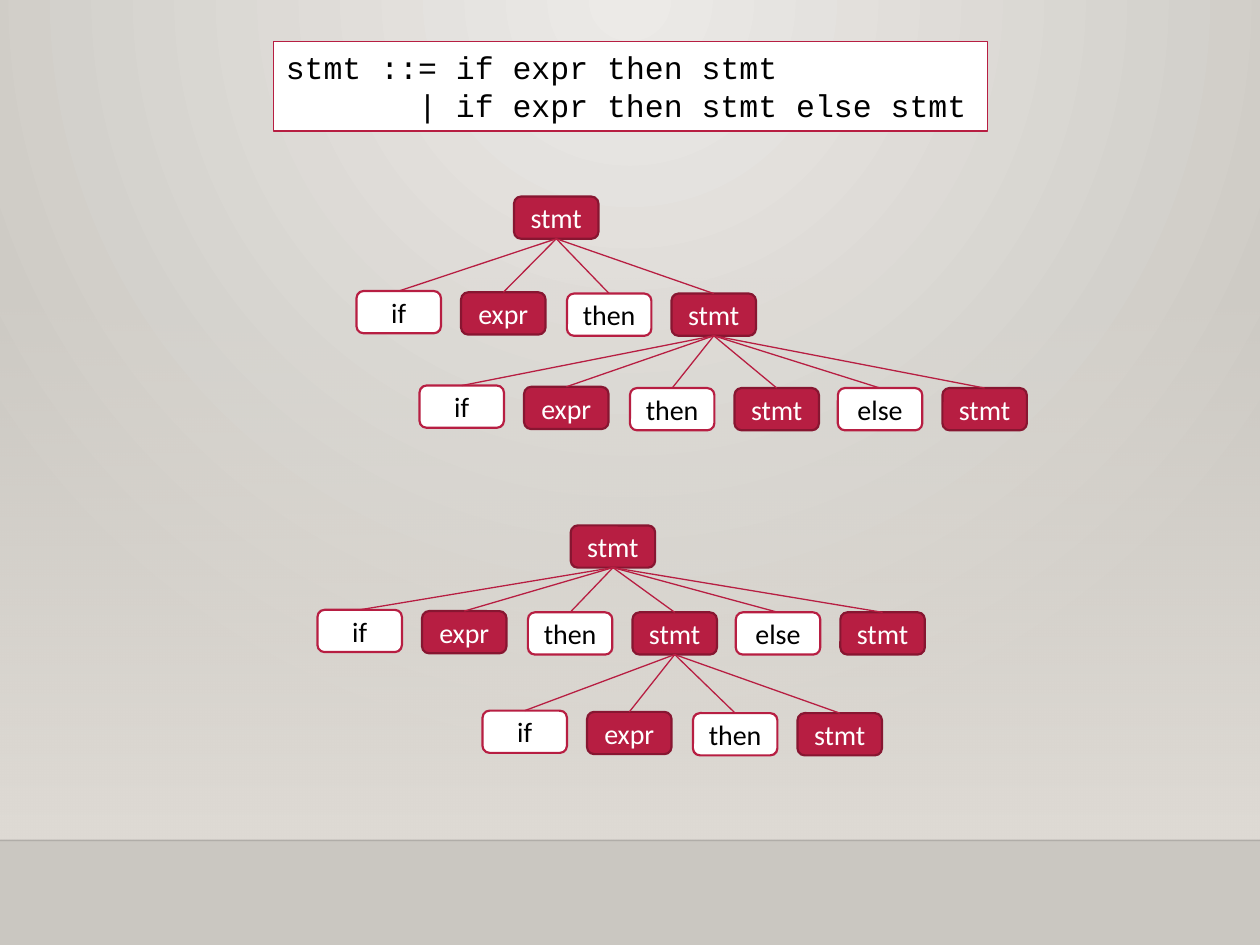
"""Builds a slide showing two parse trees of the dangling-else grammar."""
from lxml import etree
from pptx import Presentation
from pptx.dml.color import RGBColor
from pptx.enum.shapes import MSO_CONNECTOR, MSO_SHAPE
from pptx.enum.text import MSO_ANCHOR, PP_ALIGN
from pptx.oxml import parse_xml
from pptx.oxml.ns import qn
from pptx.util import Inches, Pt

STRAIGHT = MSO_CONNECTOR.STRAIGHT
RECTANGLE, ROUNDED = MSO_SHAPE.RECTANGLE, MSO_SHAPE.ROUNDED_RECTANGLE
CENTER, MIDDLE = PP_ALIGN.CENTER, MSO_ANCHOR.MIDDLE
BOTTOM_SITE, TOP_SITE = 2, 0

CRIMSON = RGBColor(0xB7, 0x1E, 0x42)
DARK_CRIMSON = RGBColor(0x87, 0x16, 0x31)
WHITE = RGBColor(0xFF, 0xFF, 0xFF)
BLACK = RGBColor(0, 0, 0)
PALE = RGBColor(0xEC, 0xEA, 0xE7)
STONE = RGBColor(0xCA, 0xC7, 0xC1)
WALL = RGBColor(0xDF, 0xDB, 0xD5)

SLIDE_W, SLIDE_H = 10, 7.5
FLOOR_Y = 6.67
NODE_W, NODE_H = 0.67, 0.335
CHAR_W = 0.15

GRAMMAR = [("stmt ::= if expr then stmt", 0),
           ("| if expr then stmt else stmt", 7)]
TERMINALS = {"if", "then", "else"}
PRODUCTION = [("if", 0, 0), ("expr", 0.83, 0.01), ("then", 1.67, 0.02),
              ("stmt", 2.5, 0.02), ("else", 3.32, 0.02), ("stmt", 4.15, 0.02)]
NESTED = 3
TREES = [
    {"root": (4.08, 1.56), "levels": [(2.83, 2.31, 4), (3.33, 3.06, 6)]},
    {"root": (4.53, 4.17), "levels": [(2.52, 4.84, 6), (3.83, 5.64, 4)]},
]


def gradient(stops, direction):
    """Return a gradient fill element from (position, colour, opacity) stops."""
    marks = "".join(
        f'<a:gs pos="{position * 1000}"><a:srgbClr val="{color}">'
        f'<a:alpha val="{opacity * 1000}"/></a:srgbClr></a:gs>'
        for position, color, opacity in stops)
    return parse_xml(
        '<a:gradFill xmlns:a="http://schemas.openxmlformats.org/drawingml/2006/main"'
        f' rotWithShape="1"><a:gsLst>{marks}</a:gsLst>{direction}</a:gradFill>')


def replace_gradient(fill, parent, element):
    """Swap the default gradient of a fill for the given one."""
    fill.gradient()
    parent.replace(parent.find(qn("a:gradFill")), element)


def add_box(slide, kind, x, y, w, h):
    """Add a shape without shadow."""
    box = slide.shapes.add_shape(kind, Inches(x), Inches(y), Inches(w), Inches(h))
    box.shadow.inherit = False
    return box


def paint(box, fill, outline, width):
    """Set the solid fill and the outline of a shape."""
    box.fill.solid()
    box.fill.fore_color.rgb = fill
    box.line.color.rgb = outline
    box.line.width = Pt(width)


def set_font(paragraph, name, size, color):
    """Set the font of a whole paragraph."""
    paragraph.font.name = name
    paragraph.font.size = Pt(size)
    paragraph.font.color.rgb = color


def add_line(slide, color, width, start=(0, 0), end=(0, 0)):
    """Add a straight connector without shadow."""
    line = slide.shapes.add_connector(STRAIGHT, *map(Inches, start + end))
    line.line.color.rgb = color
    line.line.width = Pt(width)
    etree.SubElement(line._element.spPr, qn("a:effectLst"))
    return line


def add_backdrop(slide):
    """Paint the wall, its fade and the floor line."""
    glow = gradient(
        [(0, PALE, 100), (100, STONE, 100)],
        '<a:path path="circle"><a:fillToRect l="43000" r="43000" b="100000"/></a:path>')
    background = slide.background.fill
    background.gradient()
    replace_gradient(background, slide._element.cSld.bg.bgPr, glow)

    fade = add_box(slide, RECTANGLE, 0, 2.2, SLIDE_W, FLOOR_Y - 2.2)
    replace_gradient(fade.fill, fade._element.spPr, gradient(
        [(0, WALL, 0), (100, WALL, 100)], '<a:lin ang="5400000" scaled="0"/>'))
    fade.line.fill.background()

    floor = add_line(slide, BLACK, 1, (0, FLOOR_Y), (SLIDE_W, FLOOR_Y))
    ink = floor.line._ln.find(".//" + qn("a:srgbClr"))
    etree.SubElement(ink, qn("a:alpha")).set("val", "20000")


def add_grammar(slide):
    """Add the framed grammar rule."""
    rule = add_box(slide, RECTANGLE, 2.17, 0.33, 5.67, 0.71)
    paint(rule, WHITE, CRIMSON, 0.75)
    frame = rule.text_frame
    frame.vertical_anchor = MSO_ANCHOR.TOP
    frame.text = "\n".join(text for text, _ in GRAMMAR)
    for paragraph, (_, indent) in zip(frame.paragraphs, GRAMMAR):
        paragraph.alignment = PP_ALIGN.LEFT
        set_font(paragraph, "Courier New", 18, BLACK)
        paragraph._p.get_or_add_pPr().set("marL", str(Inches(indent * CHAR_W)))


def add_node(slide, symbol, x, y):
    """Add one grammar symbol, white when it is a terminal."""
    node = add_box(slide, ROUNDED, x, y, NODE_W, NODE_H)
    terminal = symbol in TERMINALS
    paint(node, WHITE if terminal else CRIMSON,
          CRIMSON if terminal else DARK_CRIMSON, 1.25)
    frame = node.text_frame
    frame.text = symbol
    frame.vertical_anchor = MIDDLE
    frame.paragraphs[0].alignment = CENTER
    set_font(frame.paragraphs[0], "Calibri", 16, BLACK if terminal else WHITE)
    return node


def add_tree(slide, tree):
    """Add a parse tree whose first inner stmt expands once more."""
    parent = add_node(slide, "stmt", *tree["root"])
    for x, y, count in tree["levels"]:
        children = [add_node(slide, symbol, x + dx, y + dy)
                    for symbol, dx, dy in PRODUCTION[:count]]
        for child in children:
            branch = add_line(slide, CRIMSON, 0.75)
            branch.begin_connect(parent, BOTTOM_SITE)
            branch.end_connect(child, TOP_SITE)
        parent = children[NESTED]


def main():
    """Build and save the slide."""
    deck = Presentation()
    deck.slide_width, deck.slide_height = Inches(SLIDE_W), Inches(SLIDE_H)
    slide = deck.slides.add_slide(deck.slide_layouts[6])
    add_backdrop(slide)
    add_grammar(slide)
    for tree in TREES:
        add_tree(slide, tree)
    deck.save("out.pptx")


if __name__ == "__main__":
    main()
